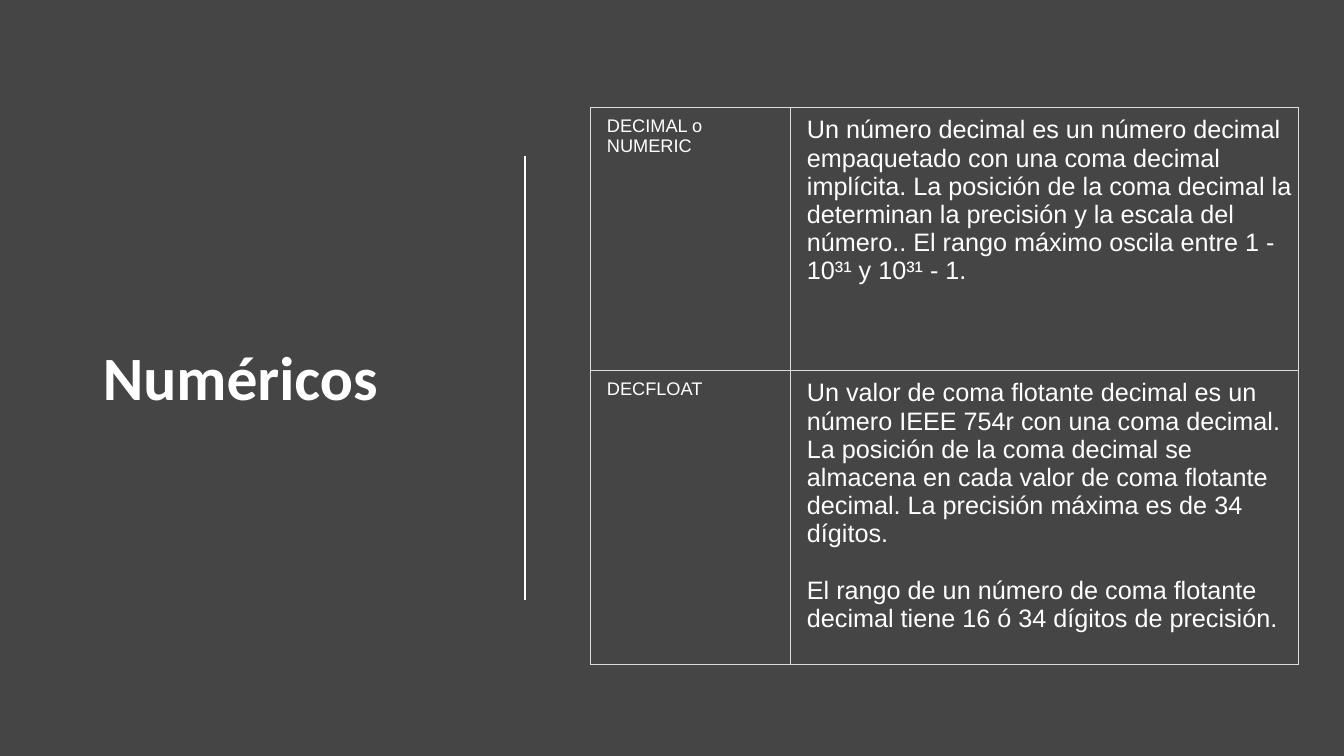
import lxml.etree
import pptx
import pptx.dml.color
import pptx.enum.shapes
import pptx.enum.text
import pptx.oxml.ns
import pptx.util

BACKGROUND = pptx.dml.color.RGBColor(0x45, 0x45, 0x45)
WHITE = pptx.dml.color.RGBColor(0xFF, 0xFF, 0xFF)
BORDER = pptx.dml.color.RGBColor(0xD8, 0xDE, 0xDC)
SLIDE_SIZE = (1344, 756)

TYPES = [
    (
        ["DECIMAL o", "NUMERIC"],
        ["Un número decimal es un número decimal empaquetado con una coma decimal "
         "implícita. La posición de la coma decimal la determinan la precisión y la "
         "escala del número.. El rango máximo oscila entre 1 - 10³¹ y 10³¹ - 1."],
    ),
    (
        ["DECFLOAT"],
        ["Un valor de coma flotante decimal es un número IEEE 754r con una coma "
         "decimal. La posición de la coma decimal se almacena en cada valor de coma "
         "flotante decimal. La precisión máxima es de 34 dígitos.",
         "El rango de un número de coma flotante decimal tiene 16 ó 34 dígitos de "
         "precisión."],
    ),
]


def px(length):
    return pptx.util.Inches(length / 100.8)


def set_values(target, values):
    for name, value in values.items():
        setattr(target, name, value)


class SlideBuilder:
    title_font = {"name": "Calibri", "size": pptx.util.Pt(44), "bold": True}
    column_fonts = [
        {"name": "Arial", "size": pptx.util.Pt(13), "bold": False},
        {"name": "Arial", "size": pptx.util.Pt(18), "bold": False},
    ]
    # The gap between paragraphs is one line of each column's text
    column_gaps = [pptx.util.Pt(0), pptx.util.Pt(20)]
    cell_format = {
        "margin_left": px(17),
        "margin_top": px(9),
        "margin_right": px(4),
        "margin_bottom": px(9),
        "vertical_anchor": pptx.enum.text.MSO_ANCHOR.TOP,
    }

    def __init__(self, presentation):
        self.slide = presentation.slides.add_slide(presentation.slide_layouts[6])
        fill = self.slide.background.fill
        fill.solid()
        fill.fore_color.rgb = BACKGROUND

    def add_texts(self, frame, texts, font, gap=0, line_spacing=1.0):
        for index, text in enumerate(texts):
            paragraph = frame.add_paragraph() if index else frame.paragraphs[0]
            paragraph.line_spacing = line_spacing
            paragraph.space_before = gap if index else pptx.util.Pt(0)
            run = paragraph.add_run()
            run.text = text
            set_values(run.font, font)
            run.font.color.rgb = WHITE

    def title(self, text, left, top, width, height):
        box = self.slide.shapes.add_textbox(px(left), px(top), px(width), px(height))
        frame = box.text_frame
        set_values(frame, {
            "word_wrap": True,
            "vertical_anchor": pptx.enum.text.MSO_ANCHOR.BOTTOM,
        })
        self.add_texts(frame, [text], self.title_font, line_spacing=0.9)

    def vertical_line(self, x, top, bottom):
        line = self.slide.shapes.add_connector(
            pptx.enum.shapes.MSO_CONNECTOR.STRAIGHT, px(x), px(top), px(x), px(bottom))
        line.line.color.rgb = WHITE
        line.line.width = pptx.util.Pt(1.25)
        lxml.etree.SubElement(
            line._element.spPr, pptx.oxml.ns.qn("a:effectLst"))

    def border(self, cell):
        properties = cell._tc.get_or_add_tcPr()
        for side in ("lnL", "lnR", "lnT", "lnB"):
            edge = lxml.etree.SubElement(
                properties, pptx.oxml.ns.qn(f"a:{side}"), w=str(pptx.util.Pt(0.75)))
            fill = lxml.etree.SubElement(edge, pptx.oxml.ns.qn("a:solidFill"))
            lxml.etree.SubElement(
                fill, pptx.oxml.ns.qn("a:srgbClr"), val=str(BORDER))

    def table(self, rows, left, top, widths, heights):
        table = self.slide.shapes.add_table(
            len(heights), len(widths), px(left), px(top),
            px(sum(widths)), px(sum(heights))).table
        set_values(table, {"first_row": False, "horz_banding": False})
        for column, width in zip(table.columns, widths):
            column.width = px(width)
        for row, height, contents in zip(table.rows, heights, rows):
            row.height = px(height)
            for cell, texts, font, gap in zip(
                    row.cells, contents, self.column_fonts, self.column_gaps):
                set_values(cell, self.cell_format)
                self.border(cell)
                cell.fill.background()
                self.add_texts(cell.text_frame, texts, font, gap)


def main():
    presentation = pptx.Presentation()
    presentation.slide_width, presentation.slide_height = map(px, SLIDE_SIZE)
    builder = SlideBuilder(presentation)

    # Title and divider
    builder.title("Numéricos", 93, 91, 366, 328)
    builder.vertical_line(525, 156, 600)

    # Numeric data types
    builder.table(TYPES, 590, 107, widths=[200, 509], heights=[263, 294])

    presentation.save("out.pptx")


if __name__ == "__main__":
    main()
